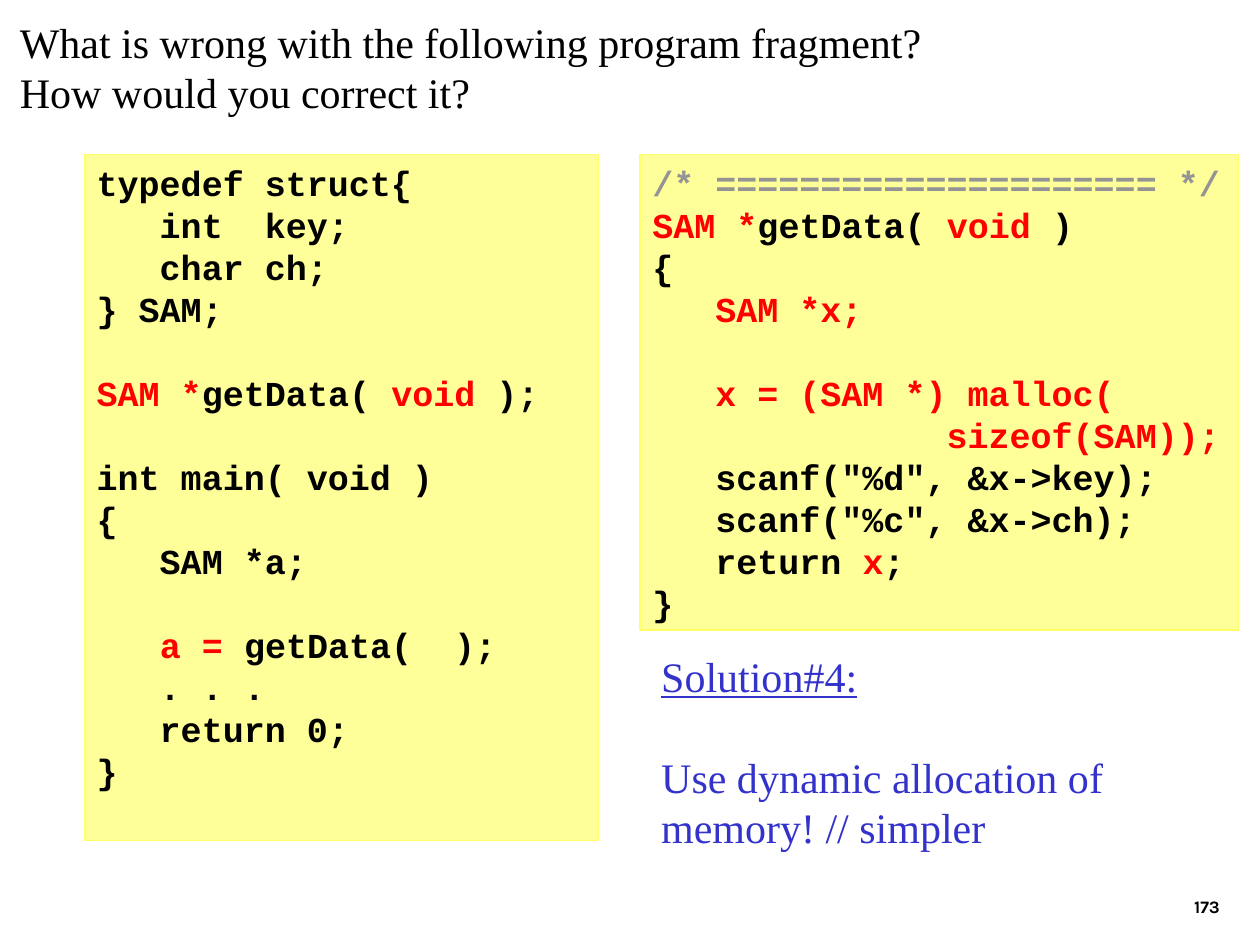
from pptx import Presentation
from pptx.dml.color import RGBColor
from pptx.enum.shapes import MSO_SHAPE
from pptx.enum.text import MSO_ANCHOR, PP_ALIGN
from pptx.util import Cm, Pt

BLACK, RED, GREY, BLUE = "000000", "FF0000", "949494", "3333CC"


def rgb(hex_colour):
    return RGBColor.from_string(hex_colour)


def write(frame, paragraphs, size, font, colour=BLACK, bold=False, align=PP_ALIGN.LEFT,
          anchor=MSO_ANCHOR.TOP, wrap=True, underlined=()):
    """Fill a frame with lists of (text, colour) runs or plain strings; an empty one leaves a line's gap."""
    frame.word_wrap = wrap
    frame.vertical_anchor = anchor
    frame.margin_left = frame.margin_right = Cm(0.25)
    frame.margin_top = frame.margin_bottom = Cm(0.13)
    gap, started = 0, False
    for content in paragraphs:
        if not content:
            gap += 1
            continue
        paragraph = frame.add_paragraph() if started else frame.paragraphs[0]
        started = True
        paragraph.alignment = align
        paragraph.line_spacing = Pt(size * 1.2)
        paragraph.space_before = Pt(size * 1.2 * gap)
        gap = 0
        for text, run_colour in [(content, colour)] if isinstance(content, str) else content:
            run = paragraph.add_run()
            run.text = text
            run.font.name = font
            run.font.size = Pt(size)
            run.font.bold = bold
            run.font.underline = text in underlined
            run.font.color.rgb = rgb(run_colour)


prs = Presentation()
prs.slide_width, prs.slide_height = Cm(25.4), Cm(19.05)
slide = prs.slides.add_slide(prs.slide_layouts[5])

question = slide.shapes.title
question.left, question.top, question.width, question.height = Cm(0.15), Cm(0.2), Cm(21.44), Cm(2.29)
write(question.text_frame, ["What is wrong with the following program fragment?",
                            "How would you correct it?"], 24, "Times New Roman", wrap=False)

signature = [("SAM *", RED), ("getData( ", BLACK), ("void", RED)]
caller = [
    "typedef struct{",
    "   int  key;",
    "   char ch;",
    "} SAM;",
    "",
    signature + [(" );", BLACK)],
    "",
    "int main( void )",
    "{",
    "   SAM *a;",
    "",
    [("   ", BLACK), ("a = ", RED), ("getData(  );", BLACK)],
    "   . . .",
    "   return 0;",
    "}",
]
allocator = [
    [("/* ===================== */", GREY)],
    signature + [(" )", BLACK)],
    "{",
    [("   SAM *x;", RED)],
    "",
    [("   x = (SAM *) malloc(", RED)],
    [("              sizeof(SAM));", RED)],
    '   scanf("%d", &x->key);',
    '   scanf("%c", &x->ch);',
    [("   return ", BLACK), ("x", RED), (";", BLACK)],
    "}",
]
for code, left, width, height in [(caller, 1.7, 10.36, 13.82), (allocator, 12.9, 12.07, 9.58)]:
    listing = slide.shapes.add_shape(MSO_SHAPE.RECTANGLE, Cm(left), Cm(3.12), Cm(width), Cm(height))
    listing.shadow.inherit = False
    listing.fill.solid()
    listing.fill.fore_color.rgb = rgb("FFFF99")
    listing.line.color.rgb = rgb("FFFF66")
    listing.line.width = Pt(0.75)
    write(listing.text_frame, code, 20, "Courier New", bold=True)

solution = slide.shapes.add_textbox(Cm(13.08), Cm(12.98), Cm(11.68), Cm(4.32))
write(solution.text_frame, ["Solution#4:", "", "Use dynamic allocation of memory! // simpler"],
      24, "Times New Roman", BLUE, underlined=["Solution#4:"])

page_number = slide.shapes.add_textbox(Cm(19.56), Cm(17.35), Cm(5.28), Cm(1.27))
write(page_number.text_frame, ["173"], 10, "Karla", bold=True,
      align=PP_ALIGN.RIGHT, anchor=MSO_ANCHOR.BOTTOM)

prs.save("out.pptx")
